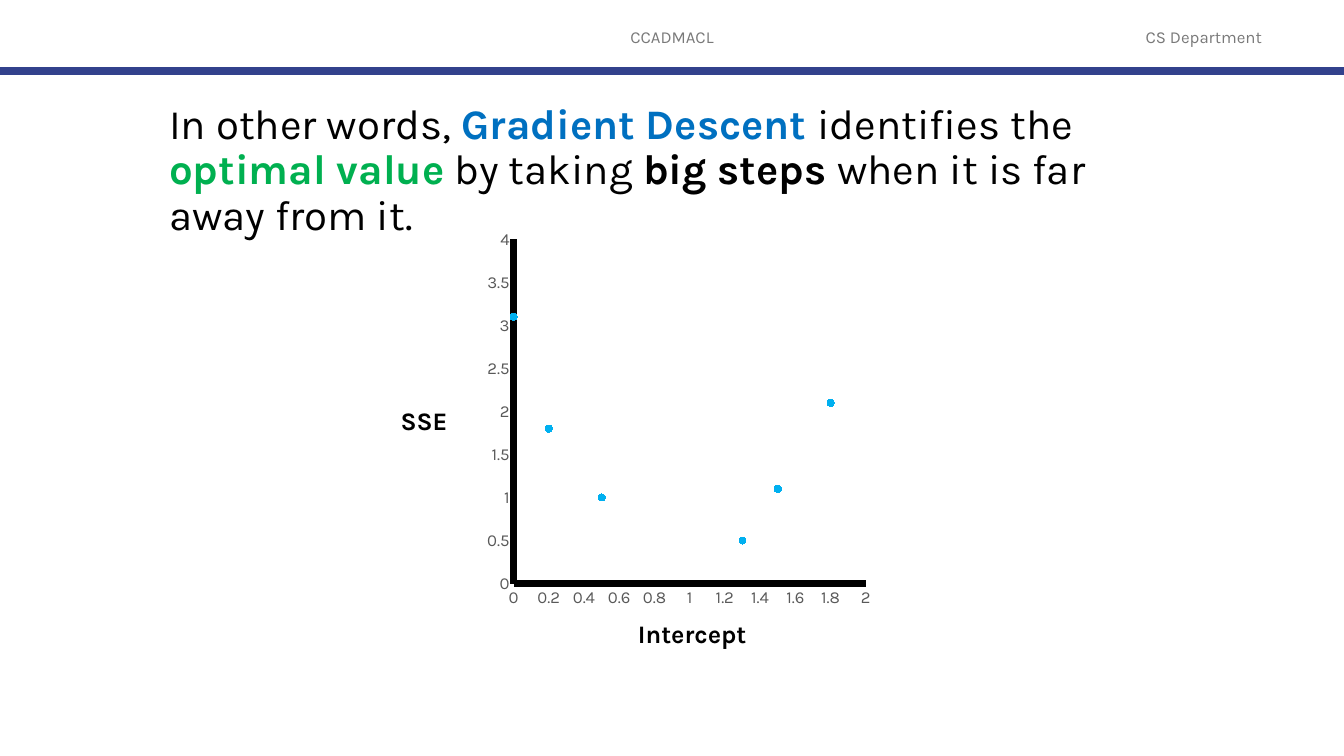
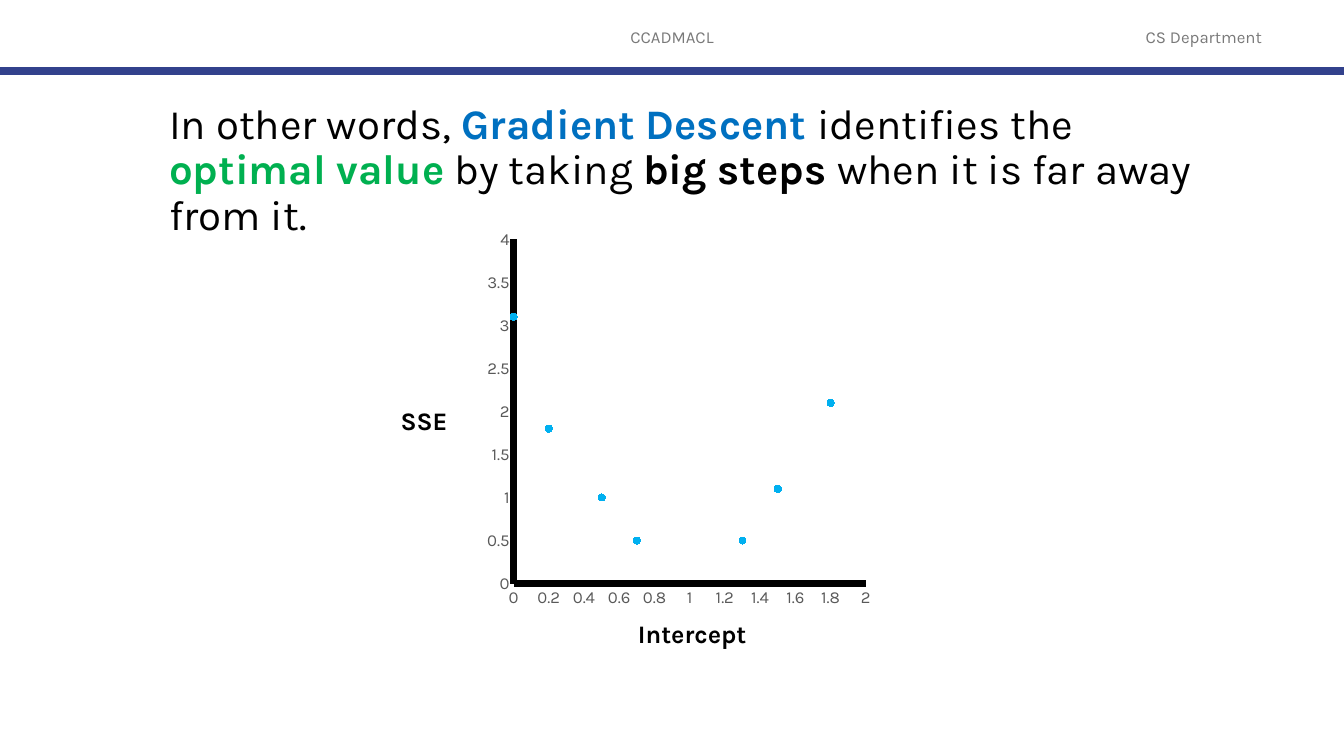
import lxml.etree
import pptx
import pptx.chart.data
import pptx.dml.color
import pptx.enum.chart
import pptx.enum.shapes
import pptx.enum.text
import pptx.oxml.ns
import pptx.util

RGB = pptx.dml.color.RGBColor
BLACK = RGB(0x00, 0x00, 0x00)
HEADER_GRAY = RGB(0x79, 0x79, 0x79)
TICK_GRAY = RGB(0x59, 0x59, 0x59)
RULE_NAVY = RGB(0x32, 0x41, 0x8C)
TERM_BLUE = RGB(0x00, 0x70, 0xC0)
TERM_GREEN = RGB(0x00, 0xB0, 0x50)
DOT_BLUE = RGB(0x00, 0xB0, 0xF0)

FONT = "Karla"
SLIDE_WIDTH = pptx.util.Inches(13.33)
SLIDE_HEIGHT = pptx.util.Inches(7.5)
COLUMN = SLIDE_WIDTH / 100
ROW = SLIDE_HEIGHT / 100
LINE_ROWS = 5.33

PLOT_AREA = {"x": 0.07, "y": 0.03, "w": 0.92, "h": 0.9}

STATEMENT = [
    ("In other words, ", BLACK, False),
    ("Gradient Descent ", TERM_BLUE, True),
    ("identifies the ", BLACK, False),
    ("optimal value", TERM_GREEN, True),
    (" by taking ", BLACK, False),
    ("big steps ", BLACK, True),
    ("when it is far away from it.", BLACK, False),
]

UNKNOWN = (None, None)
LEFT_STEPS = [(0, 3.1), (0.2, 1.8), (0.5, 1)]
RIGHT_STEPS = [(1.3, 0.5), (1.5, 1.1), (1.8, 2.1)] + [UNKNOWN] * 10

STAGES = [
    (LEFT_STEPS + [UNKNOWN, UNKNOWN] + RIGHT_STEPS, 77.25),
    (LEFT_STEPS + [(0.7, 0.5), (None, 0.3)] + RIGHT_STEPS, 78.15),
]


def cells(left, top, width, height):
    return (round(left * COLUMN), round(top * ROW),
            round(width * COLUMN), round(height * ROW))


def add_text(slide, area, runs, size, align=pptx.enum.text.PP_ALIGN.LEFT,
             anchor=pptx.enum.text.MSO_ANCHOR.TOP):
    frame = slide.shapes.add_textbox(*cells(*area)).text_frame
    frame.word_wrap = True
    frame.vertical_anchor = anchor
    paragraph = frame.paragraphs[0]
    paragraph.alignment = align
    for words, color, bold in runs:
        run = paragraph.add_run()
        run.text = words
        run.font.name = FONT
        run.font.size = pptx.util.Pt(size)
        run.font.bold = bold
        run.font.color.rgb = color
    return paragraph


def add_header(slide):
    for words, left, width in [("CCADMACL", 33.13, 33.75),
                               ("CS Department", 81.88, 15.38)]:
        add_text(slide, (left, 2.2, width, LINE_ROWS),
                 [(words, HEADER_GRAY, False)], 12,
                 pptx.enum.text.PP_ALIGN.CENTER,
                 pptx.enum.text.MSO_ANCHOR.MIDDLE)
    height = round(9.38 * ROW)
    rule = slide.shapes.add_connector(
        pptx.enum.shapes.MSO_CONNECTOR.STRAIGHT, 0, height, SLIDE_WIDTH, height)
    rule.line.color.rgb = RULE_NAVY
    rule.line.width = pptx.util.Pt(6)
    properties = rule.element.find(pptx.oxml.ns.qn("p:spPr"))
    lxml.etree.SubElement(properties, pptx.oxml.ns.qn("a:effectLst"))


def style_axis(axis, maximum, step):
    axis.minimum_scale = 0
    axis.maximum_scale = maximum
    axis.major_unit = step
    axis.has_major_gridlines = False
    axis.major_tick_mark = pptx.enum.chart.XL_TICK_MARK.NONE
    axis.minor_tick_mark = pptx.enum.chart.XL_TICK_MARK.NONE
    axis.format.line.color.rgb = BLACK
    axis.format.line.width = pptx.util.Pt(5)
    labels = axis.tick_labels
    labels.number_format = "General"
    labels.number_format_is_linked = False
    labels.font.name = FONT
    labels.font.size = pptx.util.Pt(12)
    labels.font.color.rgb = TICK_GRAY


def fix_plot_area(chart):
    qn = pptx.oxml.ns.qn
    plot_area = chart.element.find(".//" + qn("c:plotArea"))
    for old_layout in plot_area.findall(qn("c:layout")):
        plot_area.remove(old_layout)
    layout = lxml.etree.Element(qn("c:layout"))
    plot_area.insert(0, layout)
    manual = lxml.etree.SubElement(layout, qn("c:manualLayout"))
    settings = {"layoutTarget": "inner", "xMode": "edge", "yMode": "edge", **PLOT_AREA}
    for name, value in settings.items():
        lxml.etree.SubElement(manual, qn("c:" + name)).set("val", str(value))


def drop_unknown_values(chart):
    qn = pptx.oxml.ns.qn
    for value in list(chart.element.iter(qn("c:pt"))):
        if value.find(qn("c:v")).text in (None, "", "None"):
            value.getparent().remove(value)


def add_error_chart(slide, points):
    data = pptx.chart.data.XyChartData()
    errors = data.add_series("Series 1")
    for intercept, sse in points:
        errors.add_data_point(intercept, sse)
    chart = slide.shapes.add_chart(
        pptx.enum.chart.XL_CHART_TYPE.XY_SCATTER,
        *cells(36.22, 30.15, 28.57, 50.6), data).chart
    drop_unknown_values(chart)
    chart.has_legend = False
    chart.has_title = False
    chart.font.name = FONT
    chart.font.size = pptx.util.Pt(10)
    chart.font.color.rgb = BLACK
    style_axis(chart.category_axis, 2, 0.2)
    style_axis(chart.value_axis, 4, 0.5)
    chart.plots[0].vary_by_categories = False
    dots = chart.plots[0].series[0]
    dots.smooth = False
    dots.format.line.fill.background()
    dots.marker.style = pptx.enum.chart.XL_MARKER_STYLE.CIRCLE
    dots.marker.size = 5
    dots.marker.format.fill.solid()
    dots.marker.format.fill.fore_color.rgb = DOT_BLUE
    dots.marker.format.line.color.rgb = DOT_BLUE
    fix_plot_area(chart)


def add_axis_names(slide):
    for words, left, top, width in [("Intercept", 46.73, 81.12, 10.13),
                                    ("SSE", 29.07, 52.93, 7.2)]:
        add_text(slide, (left, top, width, LINE_ROWS), [(words, BLACK, True)], 18)


def add_statement(slide, width):
    statement = add_text(slide, (11.85, 13, width, 12.13), STATEMENT, 30)
    statement.line_spacing = 0.9
    statement.space_before = pptx.util.Pt(10)


def main():
    deck = pptx.Presentation()
    deck.slide_width = SLIDE_WIDTH
    deck.slide_height = SLIDE_HEIGHT
    for points, statement_width in STAGES:
        slide = deck.slides.add_slide(deck.slide_layouts[6])
        add_header(slide)
        add_error_chart(slide, points)
        add_axis_names(slide)
        add_statement(slide, statement_width)
    deck.save("out.pptx")


if __name__ == "__main__":
    main()
